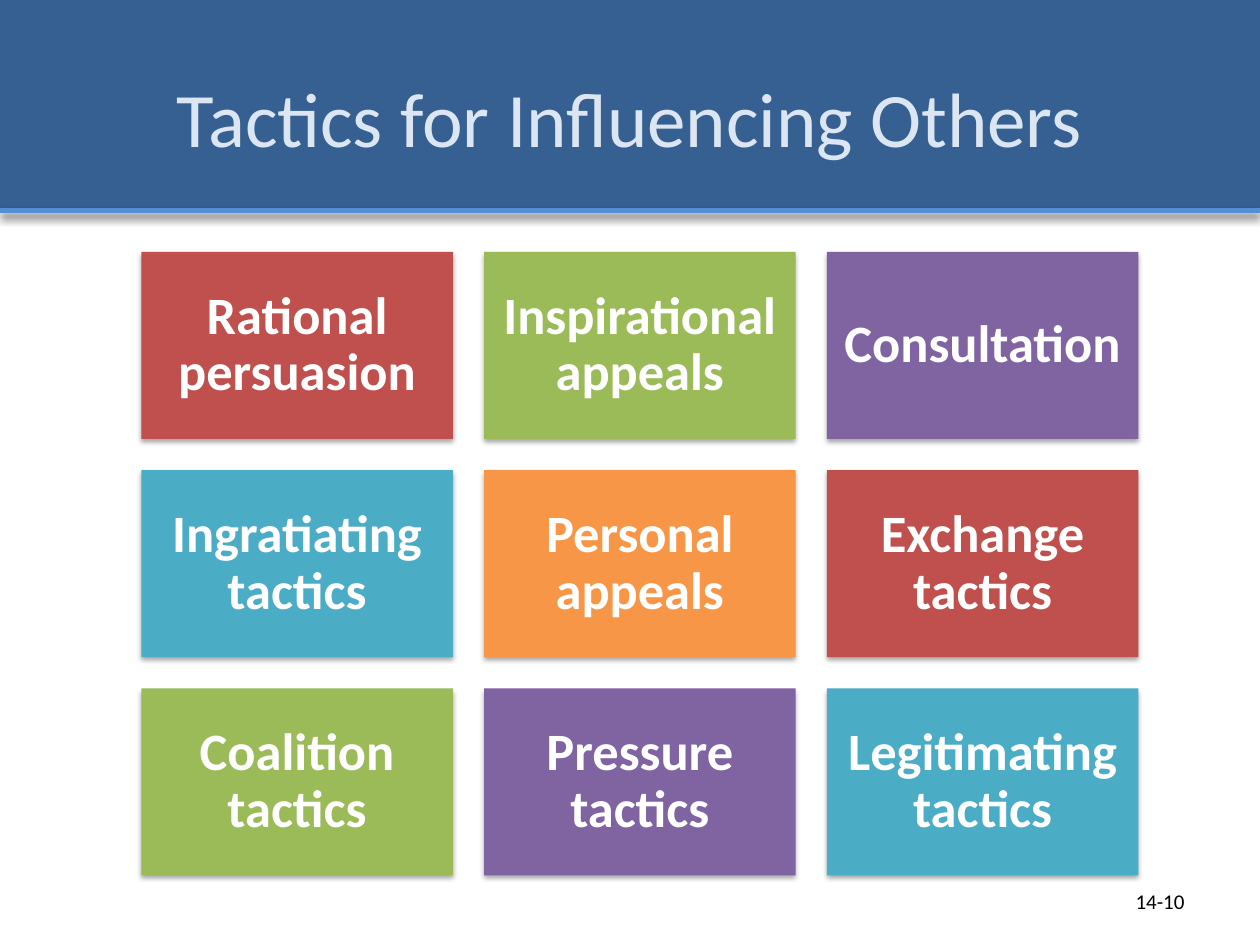
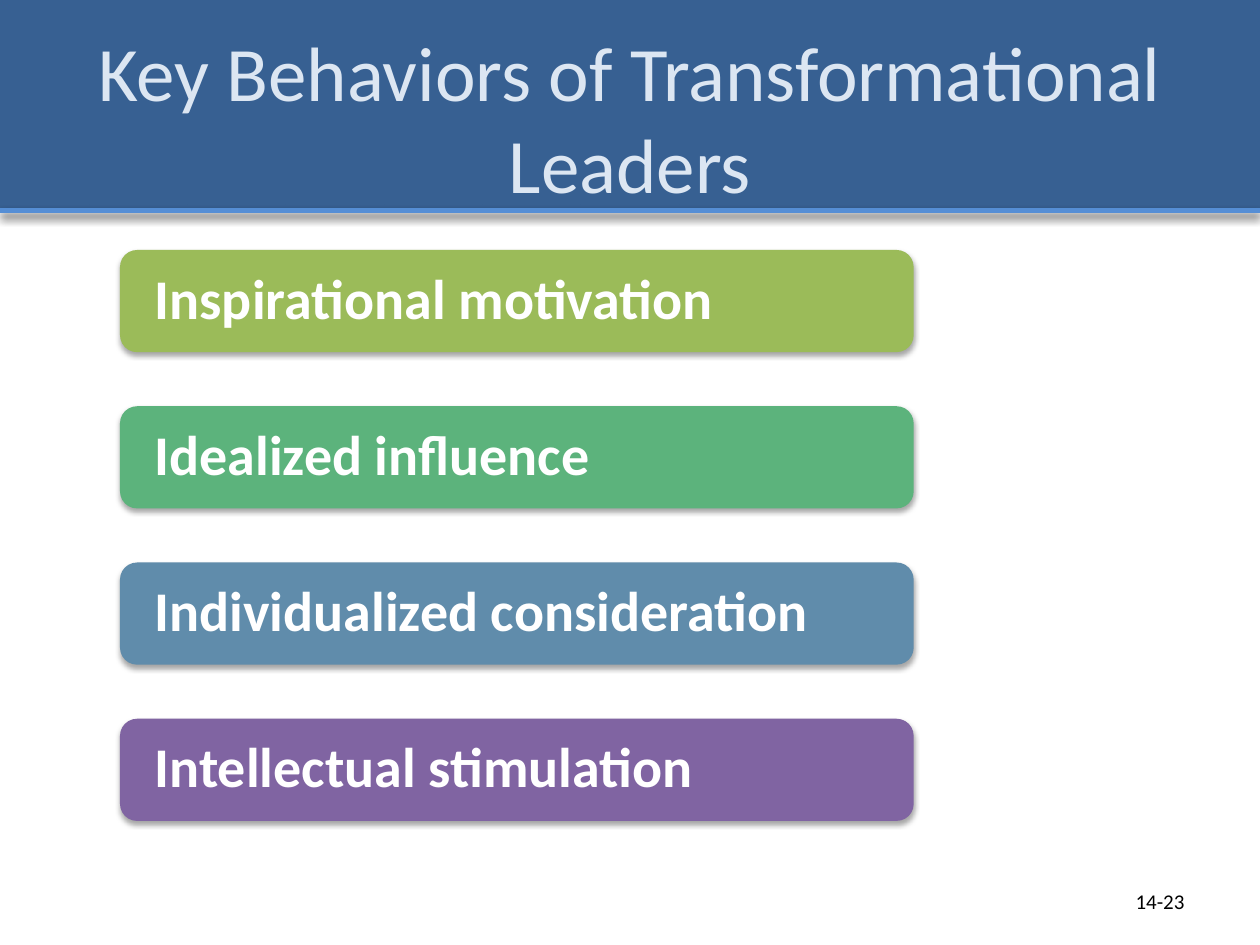
"""Build two slides on influence tactics and leader behaviors."""
import dataclasses
import typing

import lxml.etree
import pptx
import pptx.dml.color
import pptx.enum.shapes
import pptx.enum.text
import pptx.oxml.ns
import pptx.util

Cm = pptx.util.Cm
Pt = pptx.util.Pt
RGBColor = pptx.dml.color.RGBColor
Align = pptx.enum.text.PP_ALIGN
Kind = pptx.enum.shapes.MSO_SHAPE

NAVY = RGBColor(0x37, 0x60, 0x92)
SKY = RGBColor(0x55, 0x8E, 0xD5)
PALE = RGBColor(0xDC, 0xE6, 0xF2)
WHITE = RGBColor(0xFF, 0xFF, 0xFF)
BLACK = RGBColor(0x00, 0x00, 0x00)
RED = RGBColor(0xC0, 0x50, 0x4D)
LIME = RGBColor(0x9B, 0xBB, 0x59)
PLUM = RGBColor(0x80, 0x64, 0xA2)
TEAL = RGBColor(0x4B, 0xAC, 0xC6)
GOLD = RGBColor(0xF7, 0x96, 0x46)
GREEN = RGBColor(0x5C, 0xB3, 0x7C)
STEEL = RGBColor(0x60, 0x8C, 0xAB)

FONT = "Calibri"
WIDE, HIGH = Cm(25.4), Cm(19.05)
BAND = Cm(4.24)


@dataclasses.dataclass(frozen=True)
class Card:
    """A label on a coloured card."""
    text: str
    fill: RGBColor


@dataclasses.dataclass(frozen=True)
class Grid:
    """Place, pitch and look of a set of cards."""
    kind: Kind
    cols: int
    left: float
    top: float
    width: float
    height: float
    step_x: float
    step_y: float
    pad_x: float
    pad_y: float
    size: int
    align: Align


@dataclasses.dataclass(frozen=True)
class Shade:
    """A drop shadow that falls straight down."""
    alpha: int
    blur: float
    drop: float


LINE_SHADE = Shade(84, 5, 3)
CARD_SHADE = Shade(35, 3.1, 1.8)

TILES = Grid(Kind.RECTANGLE, 3, 2.85, 5.08, 6.28, 3.77, 6.91, 4.4,
             0.3, 0.3, 30, Align.CENTER)
BARS = Grid(Kind.ROUNDED_RECTANGLE, 1, 2.42, 5.04, 16, 2.06, 0, 3.15,
            0.6, 0, 32, Align.LEFT)

TACTICS = [
    Card("Rational persuasion", RED),
    Card("Inspirational appeals", LIME),
    Card("Consultation", PLUM),
    Card("Ingratiating tactics", TEAL),
    Card("Personal appeals", GOLD),
    Card("Exchange tactics", RED),
    Card("Coalition tactics", LIME),
    Card("Pressure tactics", PLUM),
    Card("Legitimating tactics", TEAL),
]
TRAITS = [
    Card("Inspirational motivation", LIME),
    Card("Idealized influence", GREEN),
    Card("Individualized consideration", STEEL),
    Card("Intellectual stimulation", PLUM),
]


def add_shade(shape: typing.Any, shade: Shade) -> None:
    """Give a shape or connector its shadow, after fill and line are set."""
    tag = pptx.oxml.ns.qn
    props = shape._element.spPr
    for old in props.findall(tag("a:effectLst")):
        props.remove(old)
    effects = lxml.etree.SubElement(props, tag("a:effectLst"))
    outer = lxml.etree.SubElement(
        effects, tag("a:outerShdw"), blurRad=str(int(Pt(shade.blur))),
        dist=str(int(Pt(shade.drop))), dir="5400000", rotWithShape="0")
    tint = lxml.etree.SubElement(outer, tag("a:srgbClr"), val=str(BLACK))
    lxml.etree.SubElement(tint, tag("a:alpha"), val=str(shade.alpha * 1000))


def set_text(shape: typing.Any, text: str, size: int, color: RGBColor,
             align: Align, bold: bool = False) -> None:
    """Write one wrapped paragraph, centred in height."""
    frame = shape.text_frame
    frame.text = text
    frame.word_wrap = True
    frame.vertical_anchor = pptx.enum.text.MSO_ANCHOR.MIDDLE
    para = frame.paragraphs[0]
    para.alignment = align
    font = para.runs[0].font
    font.name, font.size, font.bold = FONT, Pt(size), bold
    font.color.rgb = color


def add_block(slide: typing.Any, kind: Kind, box: tuple,
              fill: RGBColor) -> typing.Any:
    """Add a filled shape with no line and no shadow."""
    block = slide.shapes.add_shape(kind, *box)
    block.fill.solid()
    block.fill.fore_color.rgb = fill
    block.line.fill.background()
    block.shadow.inherit = False
    return block


def add_page(deck: typing.Any, title: str, number: str) -> typing.Any:
    """Add a slide with band, rule, title and page number."""
    slide = deck.slides.add_slide(deck.slide_layouts[6])
    add_block(slide, Kind.RECTANGLE, (0, 0, WIDE, BAND), NAVY)
    rule = slide.shapes.add_connector(
        pptx.enum.shapes.MSO_CONNECTOR.STRAIGHT, 0, BAND, WIDE, BAND)
    rule.line.color.rgb = SKY
    rule.line.width = Pt(2.5)
    add_shade(rule, LINE_SHADE)
    head = slide.shapes.add_textbox(Cm(1.27), Cm(0.76), Cm(22.86), Cm(3.18))
    set_text(head, title, 44, PALE, Align.CENTER)
    foot = slide.shapes.add_textbox(Cm(18.2), Cm(17.66), Cm(5.93), Cm(1.01))
    set_text(foot, number, 12, BLACK, Align.RIGHT)
    return slide


def add_cards(slide: typing.Any, grid: Grid, cards: list[Card]) -> None:
    """Lay the cards out row by row."""
    for index, card in enumerate(cards):
        row, col = divmod(index, grid.cols)
        box = (Cm(grid.left + col * grid.step_x),
               Cm(grid.top + row * grid.step_y),
               Cm(grid.width), Cm(grid.height))
        block = add_block(slide, grid.kind, box, card.fill)
        add_shade(block, CARD_SHADE)
        set_text(block, card.text, grid.size, WHITE, grid.align, True)
        frame = block.text_frame
        frame.margin_left = frame.margin_right = Cm(grid.pad_x)
        frame.margin_top = frame.margin_bottom = Cm(grid.pad_y)
        frame.paragraphs[0].line_spacing = 0.9


def main() -> None:
    """Build and save the deck."""
    deck = pptx.Presentation()
    deck.slide_width, deck.slide_height = WIDE, HIGH
    slide = add_page(deck, "Tactics for Influencing Others", "14-10")
    add_cards(slide, TILES, TACTICS)
    slide = add_page(deck, "Key Behaviors of Transformational Leaders",
                     "14-23")
    add_cards(slide, BARS, TRAITS)
    deck.save("out.pptx")


main()
